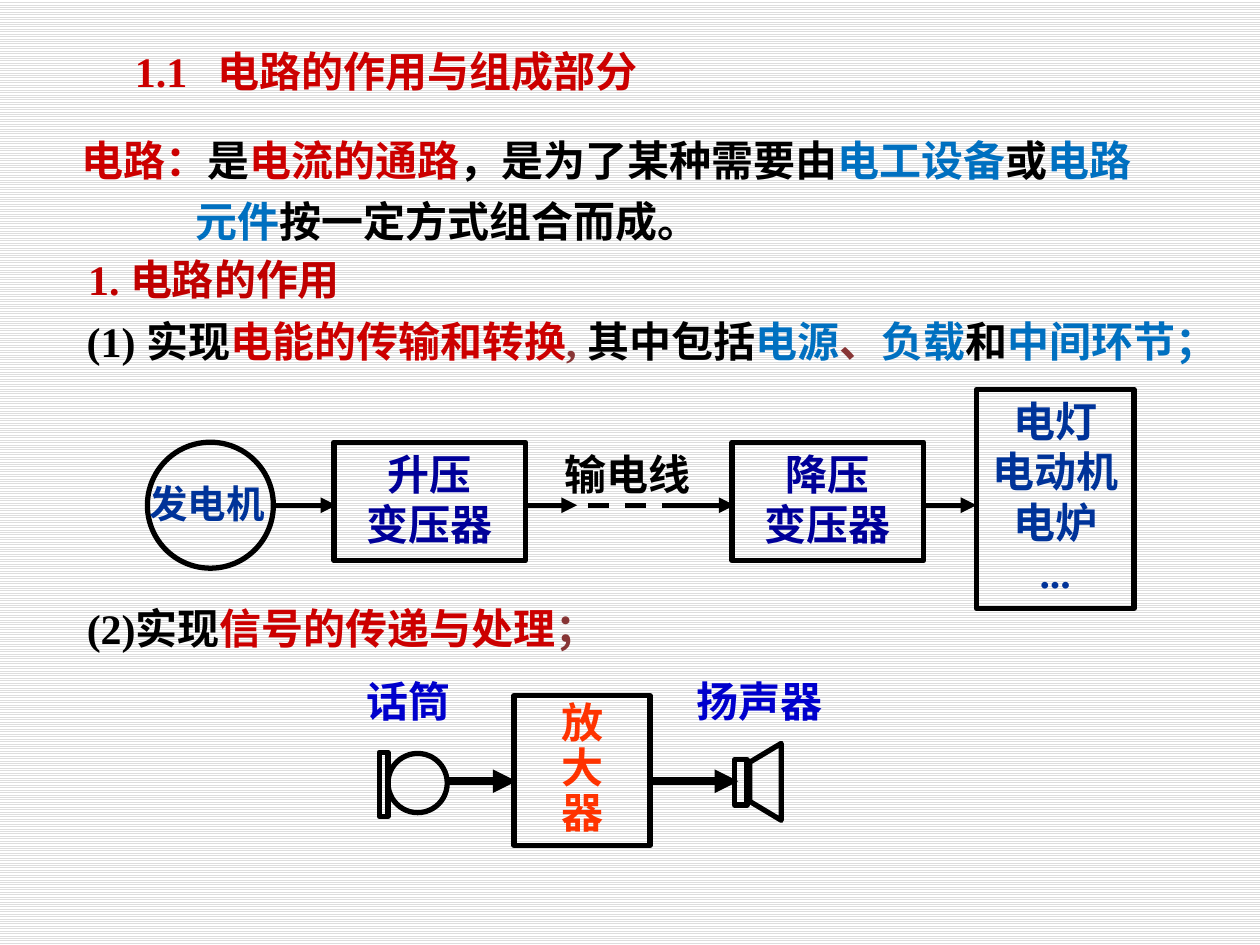
from lxml.etree import SubElement
from pptx import Presentation
from pptx.dml.color import RGBColor as RGB
from pptx.enum.dml import MSO_LINE as Dash, MSO_PATTERN as Pat
from pptx.enum.shapes import MSO_CONNECTOR as Conn, MSO_SHAPE as Kind
from pptx.enum.text import MSO_ANCHOR as Anchor, MSO_AUTO_SIZE as Fit, PP_ALIGN as Align
from pptx.oxml.ns import qn
from pptx.util import Inches, Pt

FONT = "Times New Roman"
BLACK = RGB(0, 0, 0)
WHITE = RGB(255, 255, 255)
GRAY = RGB(0xDD, 0xDD, 0xDD)
RED = RGB(0xCC, 0, 0)
DARK = RGB(0xC0, 0, 0)
BROWN = RGB(0x87, 0x35, 0x35)
SKY = RGB(0, 0x70, 0xC0)
NAVY = RGB(0, 0, 0x99)
BLUE = RGB(0, 0x33, 0x99)
VIVID = RGB(0, 0, 0xCC)
ORANGE = RGB(0xFF, 0x33, 0)


def write(shape, paras, color=BLACK, size=24, align=Align.LEFT, space=1.0,
          wrap=True, anchor=Anchor.TOP, indents=()):
    """Fill a shape; a paragraph is a string or a list of (text, colour)."""
    frame = shape.text_frame
    frame.word_wrap = wrap
    frame.auto_size = Fit.NONE
    frame.vertical_anchor = anchor
    for i, parts in enumerate(paras):
        para = frame.add_paragraph() if i else frame.paragraphs[0]
        para.alignment = align
        para.line_spacing = space
        para.space_before = Pt(0)
        if i < len(indents):
            left, first = indents[i]
            props = para._p.get_or_add_pPr()
            props.set("marL", str(Inches(left)))
            props.set("indent", str(Inches(first)))
        if isinstance(parts, str):
            parts = [(parts, color)]
        for text, tint in parts:
            run = para.add_run()
            run.text = text
            font = run.font
            font.name, font.size, font.bold = FONT, Pt(size), True
            font.color.rgb = tint


def place(shape, at):
    shape.left, shape.top, shape.width, shape.height = map(Inches, at)


def label(slide, at, paras, **style):
    write(slide.shapes.add_textbox(*map(Inches, at)), paras, **style)


def outline(shape):
    shape.shadow.inherit = False
    shape.fill.background()
    shape.line.color.rgb = BLACK
    shape.line.width = Pt(3)


def block(slide, at, paras=(), kind=Kind.RECTANGLE, **style):
    shape = slide.shapes.add_shape(kind, *map(Inches, at))
    outline(shape)
    write(shape, paras, align=Align.CENTER, **style)


def wire(slide, start, end, y, width=3, dash=False):
    """Draw a level line: dashed, or solid with an arrowhead."""
    link = slide.shapes.add_connector(
        Conn.STRAIGHT, Inches(start), Inches(y), Inches(end), Inches(y))
    link.line.color.rgb = BLACK
    link.line.width = Pt(width)
    if dash:
        link.line.dash_style = Dash.DASH
    else:
        SubElement(link.line._get_or_add_ln(), qn("a:tailEnd"), type="triangle")
    SubElement(link._element.spPr, qn("a:effectLst"))


def horn(slide):
    path = slide.shapes.build_freeform(Inches(6.2), Inches(5.9), scale=1.0)
    points = [(5.95, 6.05), (5.95, 6.36), (6.2, 6.51)]
    path.add_line_segments([(Inches(x), Inches(y)) for x, y in points], close=True)
    outline(path.convert_to_shape())


def prose(slide):
    title = slide.shapes.title
    place(title, (0.97, 0.31, 5.67, 0.5))
    write(title, ["1.1\t电路的作用与组成部分"], color=RED, anchor=Anchor.MIDDLE,
          indents=[(0.66, -0.66)])
    label(slide, (0.55, 0.94, 8.65, 1.07), [
        [("电路：", RED), ("是", BLACK), ("电流的通路", RED),
         ("，是为了某种需要由", BLACK), ("电工设备", SKY), ("或", BLACK), ("电路", SKY)],
        [("元件", SKY), ("按一定方式组合而成。", BLACK)],
    ], space=1.2, indents=[(0, 0), (0.9, 0)])
    label(slide, (0.6, 1.96, 3.31, 0.5), ["1. 电路的作用"], color=DARK)
    label(slide, (0.51, 2.5, 9.41, 0.46), [
        [("(1) 实现", BLACK), ("电能的传输和转换", RED), (", ", BROWN),
         ("其中包括", BLACK), ("电源", SKY), ("、", BROWN), ("负载", SKY),
         ("和", BLACK), ("中间环节；", SKY)],
    ], space=0.9, indents=[(0, 0.08)])
    label(slide, (0.59, 4.73, 4.49, 0.5), [
        [("(2)实现", BLACK), ("信号的传递与处理", RED), ("；", BROWN)]])


def power(slide):
    # Generator, transformers and loads
    block(slide, (1.17, 3.51, 1, 1), kind=Kind.OVAL)
    label(slide, (1.08, 3.76, 1.13, 0.47), ["发电机"], color=BLUE, size=22,
          align=Align.CENTER, wrap=False)
    for left, name in ((2.65, "升压"), (5.81, "降压")):
        block(slide, (left, 3.51, 1.52, 0.94), [name, "变压器"], color=NAVY)
    block(slide, (7.75, 3.09, 1.25, 1.74), ["电灯", "电动机电炉", "..."], color=BLUE)
    # Transmission line
    for start, end in ((2.17, 2.67), (4.17, 4.58), (5.42, 5.83), (7.33, 7.75)):
        wire(slide, start, end, 4.01)
    wire(slide, 4.67, 5.42, 4.01, dash=True)
    label(slide, (4.38, 3.51, 1.2, 0.5), ["输电线"], align=Align.CENTER, wrap=False)


def sound(slide):
    # Microphone
    block(slide, (3.08, 5.98, 0.47, 0.47), kind=Kind.OVAL)
    block(slide, (3.01, 5.97, 0.07, 0.51))
    # Loudspeaker
    block(slide, (5.83, 6.03, 0.1, 0.36))
    horn(slide)
    # Amplifier and signal path
    for start, end in ((3.54, 4.1), (5.16, 5.86)):
        wire(slide, start, end, 6.2, width=4.5)
    block(slide, (4.08, 5.52, 1.08, 1.19), list("放大器"), color=ORANGE, space=0.9)
    for left, width, name in ((5.15, 1.75, "扬声器"), (2.58, 1.32, "话筒")):
        label(slide, (left, 5.31, width, 0.51), [name], color=VIVID, align=Align.CENTER)


def main():
    deck = Presentation()
    deck.slide_width, deck.slide_height = Inches(10), Inches(7.5)
    slide = deck.slides.add_slide(deck.slide_layouts[5])
    fill = slide.background.fill
    fill.patterned()
    fill.pattern = Pat.LIGHT_HORIZONTAL
    fill.fore_color.rgb = GRAY
    fill.back_color.rgb = WHITE
    prose(slide)
    power(slide)
    sound(slide)
    deck.save("out.pptx")


if __name__ == "__main__":
    main()
